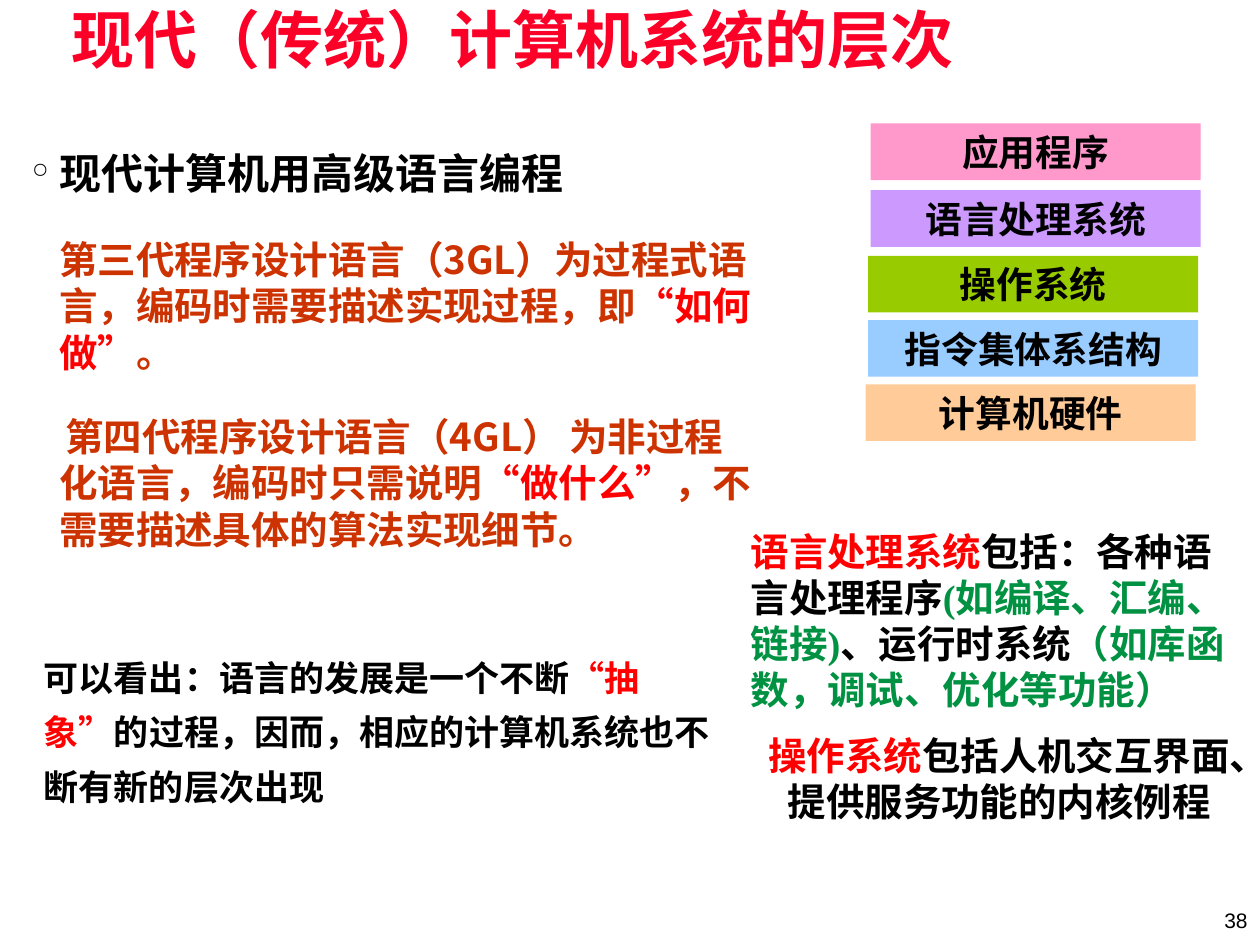
from pptx import Presentation
from pptx.util import Inches, Pt
from pptx.dml.color import RGBColor
from pptx.enum.shapes import MSO_SHAPE as Shape
from pptx.enum.text import PP_ALIGN as Align, MSO_ANCHOR as Anchor
from pptx.oxml.ns import qn
from lxml import etree

SANS, SERIF, LATIN = "Noto Sans CJK SC", "Times New Roman", "Arial"
BLACK, RED, BROWN, GREEN = "000000", "FF0000", "CC3300", "009242"
TIGHT = (0.07, 0.03)
NORMAL = (0.1, 0.05)


def color(value):
    return RGBColor.from_string(value)


def set_frame(frame, insets=NORMAL, anchor=Anchor.TOP):
    side, edge = map(Inches, insets)
    values = dict(word_wrap=True, vertical_anchor=anchor, margin_left=side,
                  margin_right=side, margin_top=edge, margin_bottom=edge)
    for name, value in values.items():
        setattr(frame, name, value)


def add_text_box(page, box, insets=NORMAL, anchor=Anchor.TOP):
    frame = page.shapes.add_textbox(*map(Inches, box)).text_frame
    set_frame(frame, insets, anchor)
    return frame


def write(para, spans, size, font=SERIF, bold=True, **layout):
    """Fill a paragraph with (text, colour[, font]) spans."""
    for name, value in layout.items():
        setattr(para, name, value)
    for text, tint, *own_font in spans:
        span = para.add_run()
        span.text = text
        values = dict(size=Pt(size), bold=bold, name=own_font[0] if own_font else font)
        for name, value in values.items():
            setattr(span.font, name, value)
        span.font.color.rgb = color(tint)
        east_asian = etree.SubElement(span.font._element, qn("a:ea"))
        east_asian.set("typeface", SANS)


def set_indent(para, left, first, bullet=None):
    properties = para._p.get_or_add_pPr()
    properties.set("marL", str(Inches(left)))
    properties.set("indent", str(Inches(first)))
    if bullet:
        etree.SubElement(properties, qn("a:buChar")).set("char", bullet)


def add_title(page, box):
    frame = add_text_box(page, box, TIGHT)
    write(frame.paragraphs[0], [("现代（传统）计算机系统的层次", "FC0128")],
          36, LATIN, line_spacing=0.87)


def add_languages(page, box):
    frame = add_text_box(page, box, TIGHT)
    heading = frame.paragraphs[0]
    write(heading, [("现代计算机用高级语言编程", BLACK)], 24, SANS)
    set_indent(heading, 0.22, -0.22, "°")
    generations = [
        (0, [("第三代程序设计语言（3GL）为过程式语言，编码时需要描述实现过程，即", BROWN),
             ("“如何做”", RED), ("。", BROWN)]),
        (0.05, [("第四代程序设计语言（4GL） 为非过程化语言，编码时只需说明", BROWN),
                ("“做什么”", RED), ("，不需要描述具体的算法实现细节。", BROWN)]),
    ]
    for first, spans in generations:
        para = frame.add_paragraph()
        write(para, spans, 22, SANS, space_before=Pt(22))
        set_indent(para, 0.22, first)


def add_layers(page, box):
    left, top, width, height = box
    layers = [  # label, fill, offset from the left and top of the stack
        ("应用程序", "FF99CC", 0.04, 0),
        ("语言处理系统", "CC99FF", 0.04, 0.53),
        ("操作系统", "99CC00", 0.02, 1.05),
        ("指令集体系结构", "99CCFF", 0.02, 1.56),
        ("计算机硬件", "FFCC99", 0, 2.07),
    ]
    for label, fill, shift, drop in layers:
        place = (left + shift, top + drop, width - 0.04, height - 2.07)
        bar = page.shapes.add_shape(Shape.RECTANGLE, *map(Inches, place))
        bar.shadow.inherit = False
        bar.fill.solid()
        bar.fill.fore_color.rgb = color(fill)
        bar.line.fill.background()
        set_frame(bar.text_frame, anchor=Anchor.MIDDLE)
        write(bar.text_frame.paragraphs[0], [(label, BLACK)], 21, alignment=Align.CENTER)


def add_conclusion(page, box):
    frame = add_text_box(page, box)
    write(frame.paragraphs[0],
          [("可以看出：语言的发展是一个不断", BLACK), ("“", RED, SANS), ("抽象", RED),
           ("”", RED, SANS), ("的过程，因而，相应的计算机系统也不断有新的层次出现", BLACK)],
          20, line_spacing=1.3)


def add_explanations(page, box):
    frame = add_text_box(page, box)
    write(frame.paragraphs[0],
          [("语言处理系统", RED), ("包括：各种语言处理程序", BLACK),
           ("(如编译、汇编、链接)", GREEN), ("、运行时系统", BLACK),
           ("（如库函数，调试、优化等功能）", GREEN)], 22)
    write(frame.add_paragraph(),
          [("操作系统", RED), ("包括人机交互界面、提供服务功能的内核例程", BLACK)],
          22, alignment=Align.CENTER, space_before=Pt(11))


def add_page_number(page, box):
    frame = add_text_box(page, box, anchor=Anchor.MIDDLE)
    write(frame.paragraphs[0], [("38", BLACK)], 12, LATIN, bold=False,
          alignment=Align.RIGHT)


def main():
    deck = Presentation()
    deck.slide_width, deck.slide_height = Inches(10), Inches(7.5)
    page = deck.slides.add_slide(deck.slide_layouts[6])
    add_title(page, (0.5, 0.06, 9, 0.61))
    add_languages(page, (0.18, 1.14, 5.91, 4.16))
    add_layers(page, (6.87, 0.98, 2.66, 2.52))
    add_conclusion(page, (0.25, 5.06, 5.54, 1.41))
    add_explanations(page, (5.86, 4.14, 4.14, 2.51))
    add_page_number(page, (7.75, 7.1, 2.25, 0.4))
    deck.save("out.pptx")


if __name__ == "__main__":
    main()
